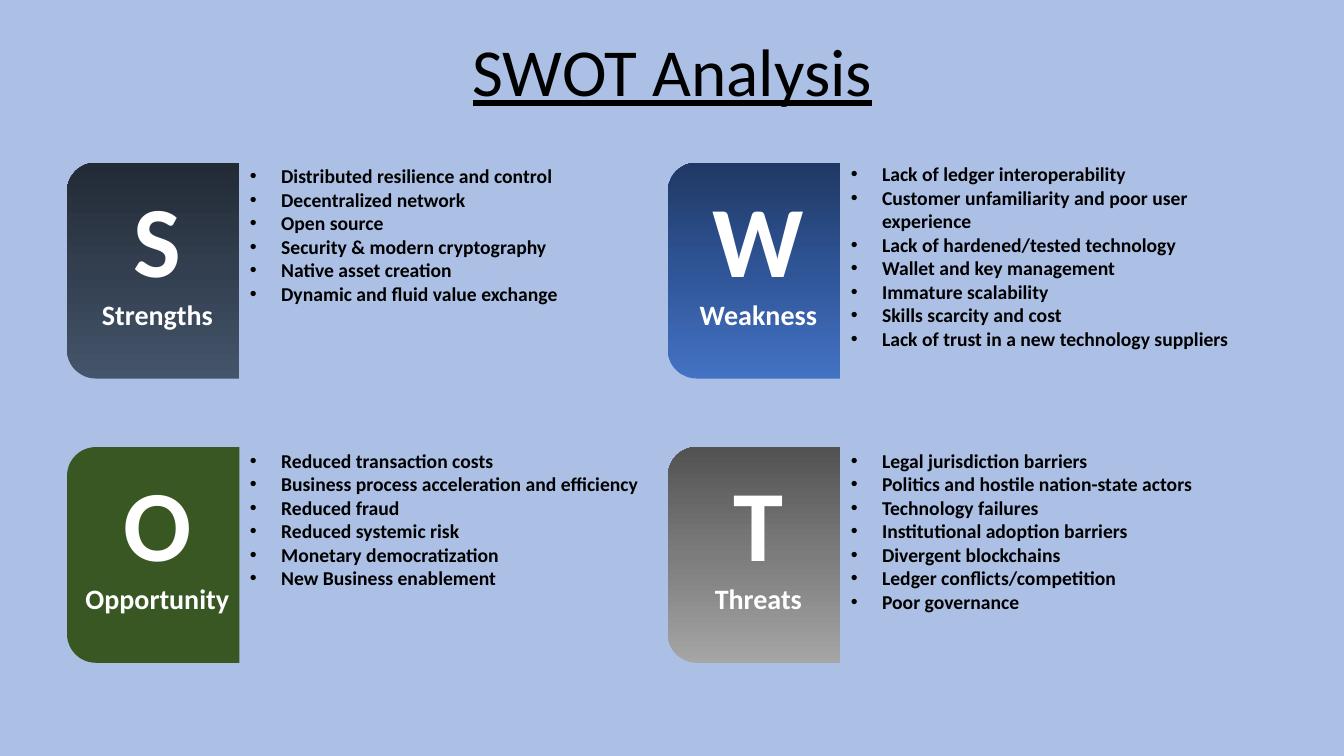
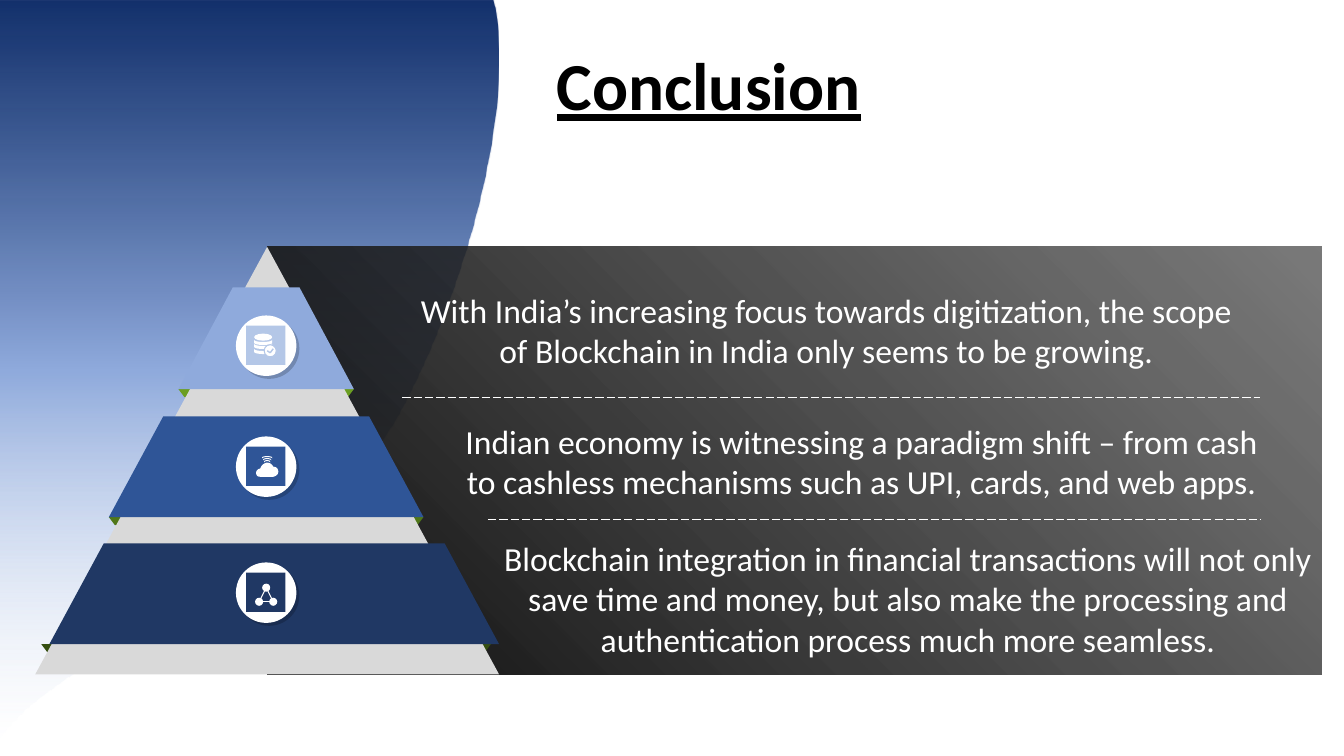
import pptx
import pptx.util
import pptx.dml.color
import pptx.enum.dml
import pptx.enum.shapes
import pptx.enum.text
import pptx.oxml
import pptx.oxml.ns

Inches = pptx.util.Inches
Pt = pptx.util.Pt
RGBColor = pptx.dml.color.RGBColor
Kind = pptx.enum.shapes.MSO_SHAPE
Align = pptx.enum.text.PP_ALIGN
Anchor = pptx.enum.text.MSO_ANCHOR

# Shared look
FONT = "Calibri"
BLACK = RGBColor(0x00, 0x00, 0x00)
WHITE = RGBColor(0xFF, 0xFF, 0xFF)
SKY = RGBColor(0xAB, 0xC0, 0xE4)
GREY = RGBColor(0xD9, 0xD9, 0xD9)
NAVY = RGBColor(0x20, 0x38, 0x64)
BLUE = RGBColor(0x2F, 0x55, 0x97)
LIGHT = RGBColor(0x8F, 0xAA, 0xDC)
PALE = RGBColor(0xB4, 0xC7, 0xE7)
GREEN = RGBColor(0x38, 0x57, 0x23)
FOLDS = (RGBColor(0x6B, 0x9E, 0x22), RGBColor(0x50, 0x77, 0x19),
         RGBColor(0x36, 0x4F, 0x11))

# Gradients: angle, then (position, colour, opacity) stops
SLATE = (0, [(0, "44546A", 100), (50, "333F50", 100), (100, "222A35", 100)])
ROYAL = (0, [(0, "4472C4", 100), (50, "2F5597", 100), (100, "203864", 100)])
STEEL = (0, [(0, "A5A5A5", 100), (50, "7C7C7C", 100), (100, "525252", 100)])
WAVE = (90, [(0, "002060", 92), (50, "8FAADC", 100), (100, "DAE3F3", 0)])
SMOKE = (315, [(0, "0D0D0D", 100), (100, "404040", 70)])

# Slide 1: letter, word, fill, top of list, points
CARDS = [
    ("S", "Strengths", SLATE, 1.58, [
        "Distributed resilience and control", "Decentralized network",
        "Open source", "Security & modern cryptography",
        "Native asset creation", "Dynamic and fluid value exchange"]),
    ("W", "Weakness", ROYAL, 1.56, [
        "Lack of ledger interoperability",
        "Customer unfamiliarity and poor user experience",
        "Lack of hardened/tested technology", "Wallet and key management",
        "Immature scalability", "Skills scarcity and cost",
        "Lack of trust in a new technology suppliers"]),
    ("O", "Opportunity", GREEN, 4.4, [
        "Reduced transaction costs",
        "Business process acceleration and efficiency", "Reduced fraud",
        "Reduced systemic risk", "Monetary democratization",
        "New Business enablement"]),
    ("T", "Threats", STEEL, 4.4, [
        "Legal jurisdiction barriers",
        "Politics and hostile nation-state actors", "Technology failures",
        "Institutional adoption barriers", "Divergent blockchains",
        "Ledger conflicts/competition", "Poor governance"]),
]

# Slide 2: middle, top, bottom, half widths at top and bottom, fill
TIERS = [(2.64, 2.85, 3.86, 0.33, 0.87, LIGHT),
         (2.64, 4.13, 5.13, 1.02, 1.56, BLUE),
         (2.72, 5.39, 6.39, 1.69, 2.23, NAVY)]
NOTES = [
    ((4.1, 2.87, 8.19, 0.81),
     "With India’s increasing focus towards digitization, the scope of "
     "Blockchain in India only seems to be growing."),
    ((4.45, 4.17, 8.19, 0.81),
     "Indian economy is witnessing a paradigm shift – from cash to cashless "
     "mechanisms such as UPI, cards, and web apps."),
    ((4.8, 5.33, 8.41, 1.21),
     "Blockchain integration in financial transactions will not only save "
     "time and money, but also make the processing and authentication "
     "process much more seamless."),
]


def add_xml(node, body):
    """Append a drawing element written without its namespace."""
    space = pptx.oxml.ns.nsdecls("a")
    head, rest = body.split(" ", 1)
    item = pptx.oxml.parse_xml(f"{head} {space} {rest}")
    node.append(item)
    return item


def paint(shape, fill):
    """Give a shape a plain or gradient fill, with no line or shadow."""
    shape.shadow.inherit = False
    shape.line.fill.background()
    shape.fill.solid()
    if isinstance(fill, RGBColor):
        shape.fill.fore_color.rgb = fill
        return shape
    angle, stops = fill
    marks = "".join(
        f'<a:gs pos="{pos * 1000}"><a:srgbClr val="{tone}">'
        f'<a:alpha val="{clear * 1000}"/></a:srgbClr></a:gs>'
        for pos, tone, clear in stops)
    props = shape.element.spPr
    old = props.find(pptx.oxml.ns.qn("a:solidFill"))
    new = add_xml(props, f'<a:gradFill rotWithShape="1"><a:gsLst>{marks}</a:gsLst>'
                         f'<a:lin ang="{angle * 60000}" scaled="0"/></a:gradFill>')
    props.replace(old, new)
    return shape


def draw(slide, kind, box, fill):
    shape = slide.shapes.add_shape(kind, *map(Inches, box))
    return paint(shape, fill)


def curve(start, bend, count=16):
    """Points along a cubic curve from start."""
    nodes = (start, bend[:2], bend[2:4], bend[4:])
    for step in range(1, count + 1):
        t = step / count
        parts = ((1 - t) ** 3, 3 * t * (1 - t) ** 2, 3 * t * t * (1 - t), t ** 3)
        yield tuple(sum(k * node[axis] for k, node in zip(parts, nodes))
                    for axis in (0, 1))


def free(slide, steps, fill):
    """Closed outline: pairs are corners, sixes are curves."""
    dots = [steps[0]]
    for step in steps[1:]:
        dots.extend(curve(dots[-1], step) if len(step) == 6 else [step])
    dots = [(Inches(x), Inches(y)) for x, y in dots]
    maker = slide.shapes.build_freeform(*dots[0], scale=1.0)
    maker.add_line_segments(dots[1:], close=True)
    return paint(maker.convert_to_shape(), fill)


def trap(slide, mid, top, foot, upper, lower, fill):
    free(slide, [(mid - upper, top), (mid + upper, top),
                 (mid + lower, foot), (mid - lower, foot)], fill)


def band(slide, left, top, wide, high, bend):
    """White strip bowed down, or up where bend is negative."""
    right, foot = left + wide, top + high
    free(slide, [(left, top),
                 (left, top + bend, right, top + bend, right, top),
                 (right, foot),
                 (right, foot + bend, left, foot + bend, left, foot)], WHITE)


def link(slide, start, end, color, width, dash=None):
    line = slide.shapes.add_connector(
        pptx.enum.shapes.MSO_CONNECTOR.STRAIGHT, *map(Inches, start + end))
    line.line.color.rgb = color
    line.line.width = Pt(width)
    if dash:
        line.line.dash_style = dash
    add_xml(line.element.spPr, "<a:effectLst />")


def write(frame, texts, sizes=(24,), color=WHITE, bold=False, under=False,
          align=Align.CENTER, anchor=Anchor.MIDDLE, inset=None, space=None,
          bullet=False):
    """Fill a frame with one paragraph for each text."""
    frame.word_wrap = True
    frame.vertical_anchor = anchor
    if inset is not None:
        frame.margin_left = frame.margin_right = Inches(inset)
        frame.margin_top = frame.margin_bottom = Inches(inset)
    for spot, text in enumerate(texts):
        para = frame.add_paragraph() if spot else frame.paragraphs[0]
        para.alignment = align
        if space:
            para.line_spacing = space
        if bullet:
            props = para._p.get_or_add_pPr()
            props.set("marL", str(Inches(0.31)))
            props.set("indent", str(Inches(-0.31)))
            add_xml(props, '<a:buFont typeface="Arial"/>')
            add_xml(props, '<a:buChar char="•"/>')
        run = para.add_run()
        run.text = text
        font = run.font
        font.name, font.size = FONT, Pt(sizes[min(spot, len(sizes) - 1)])
        font.bold, font.underline = bold, under
        font.color.rgb = color


def label(slide, box, texts, **form):
    write(slide.shapes.add_textbox(*map(Inches, box)).text_frame, texts, **form)


def page(deck, color):
    """New blank slide with a plain background."""
    slide = deck.slides.add_slide(deck.slide_layouts[6])
    slide.background.fill.solid()
    slide.background.fill.fore_color.rgb = color
    return slide


def title(slide, text, box, bold=False):
    label(slide, box, [text], sizes=(48,), color=BLACK, bold=bold, under=True,
          space=0.9)


def card(slide, left, top, letter, word, fill):
    shape = draw(slide, Kind.ROUND_2_SAME_RECTANGLE, (left, top, 2.14, 1.71), fill)
    shape.rotation = 270
    write(shape.text_frame, [letter, word], sizes=(72, 20), bold=True,
          anchor=Anchor.TOP)
    shape.text_frame._txBody.bodyPr.set("vert", "vert")


def swot(deck):
    slide = page(deck, SKY)
    title(slide, "SWOT Analysis", (0.92, 0.31, 11.5, 0.86))
    for spot, (letter, word, fill, top, points) in enumerate(CARDS):
        row, col = divmod(spot, 2)
        shift = col * 5.96
        card(slide, 0.45 + shift, 1.83 + row * 2.82, letter, word, fill)
        label(slide, (2.38 + shift, top, 4.25, 2), points, sizes=(14,),
              color=BLACK, bold=True, align=Align.LEFT, anchor=Anchor.TOP,
              bullet=True)


def disc(slide, top, icon, fill):
    """White disc with a soft shadow and the icon's square."""
    shape = draw(slide, Kind.OVAL, (2.34, top, 0.6, 0.6), WHITE)
    glow = shape.element.spPr.find(pptx.oxml.ns.qn("a:effectLst"))
    add_xml(glow, f'<a:outerShdw blurRad="0" dist="{Pt(3)}" dir="2700000">'
                  '<a:srgbClr val="000000"><a:alpha val="20000"/></a:srgbClr>'
                  '</a:outerShdw>')
    draw(slide, Kind.RECTANGLE, (2.44, top + 0.1, 0.39, 0.39), fill)
    icon(slide)


def store(slide):
    draw(slide, Kind.OVAL, (2.52, 3.31, 0.18, 0.07), WHITE)
    for top in (3.37, 3.41, 3.46):
        band(slide, 2.52, top, 0.18, 0.03, 0.03)
    badge = draw(slide, Kind.OVAL, (2.62, 3.42, 0.12, 0.12), WHITE)
    badge.line.color.rgb = PALE
    badge.line.width = Pt(0.75)
    for start, end in (((2.65, 3.48), (2.68, 3.5)), ((2.68, 3.5), (2.71, 3.46))):
        link(slide, start, end, PALE, 1)


def cloud(slide):
    free(slide, [(2.71, 4.63), (2.7, 4.61, 2.68, 4.59, 2.65, 4.59),
                 (2.62, 4.59, 2.59, 4.62, 2.58, 4.65),
                 (2.56, 4.65, 2.54, 4.67, 2.54, 4.69),
                 (2.54, 4.71, 2.55, 4.73, 2.58, 4.73), (2.71, 4.73),
                 (2.71, 4.73, 2.76, 4.72, 2.76, 4.68),
                 (2.76, 4.65, 2.74, 4.63, 2.71, 4.63)], WHITE)
    for step in range(3):
        band(slide, 2.6 + step * 0.01, 4.54 + step * 0.02,
             0.1 - step * 0.02, 0.01, -0.02)


def net(slide):
    nodes = [(2.64, 5.83), (2.57, 5.97), (2.71, 5.97)]
    for spot, (x, y) in enumerate(nodes):
        draw(slide, Kind.OVAL, (x - 0.04, y - 0.04, 0.08, 0.08), WHITE)
        link(slide, (x, y), nodes[spot - 1], WHITE, 0.75)


def ending(deck):
    slide = page(deck, WHITE)
    # Wave, title and dark panel
    free(slide, [(0, 0.01), (4.89, 0.01), (4.91, 0.09),
                 (5.11, 1.23, 4.5, 3.17, 3.91, 4.19),
                 (3.18, 5.45, 1.17, 6.26, 0.28, 7.02),
                 (0.23, 7.07, 0.18, 7.12, 0.12, 7.18), (0, 7.33)], WAVE)
    title(slide, "Conclusion", (1.28, 0.28, 11.5, 1.21), bold=True)
    draw(slide, Kind.RECTANGLE, (2.65, 2.45, 10.46, 4.24), SMOKE)
    # Pyramid: folds behind, tiers in front
    for (_, _, foot, _, half, _), fill in zip(TIERS, FOLDS):
        trap(slide, 2.64, foot, foot + 0.08, half, half - 0.06, fill)
    free(slide, [(2.65, 2.45), (4.95, 6.69), (0.35, 6.69)], GREY)
    for tier in TIERS:
        trap(slide, *tier)
    for top, icon, fill in ((3.13, store, PALE), (4.33, cloud, BLUE),
                            (5.58, net, NAVY)):
        disc(slide, top, icon, fill)
    # Statements and dividers
    for box, text in NOTES:
        label(slide, box, [text], inset=0)
    for left, top in ((3.99, 3.94), (4.84, 5.15)):
        link(slide, (left, top), (12.5, top), WHITE, 0.75,
             pptx.enum.dml.MSO_LINE.LONG_DASH)


def main():
    deck = pptx.Presentation()
    deck.slide_width, deck.slide_height = Inches(13.33), Inches(7.5)
    swot(deck)
    ending(deck)
    deck.save("out.pptx")


if __name__ == "__main__":
    main()
